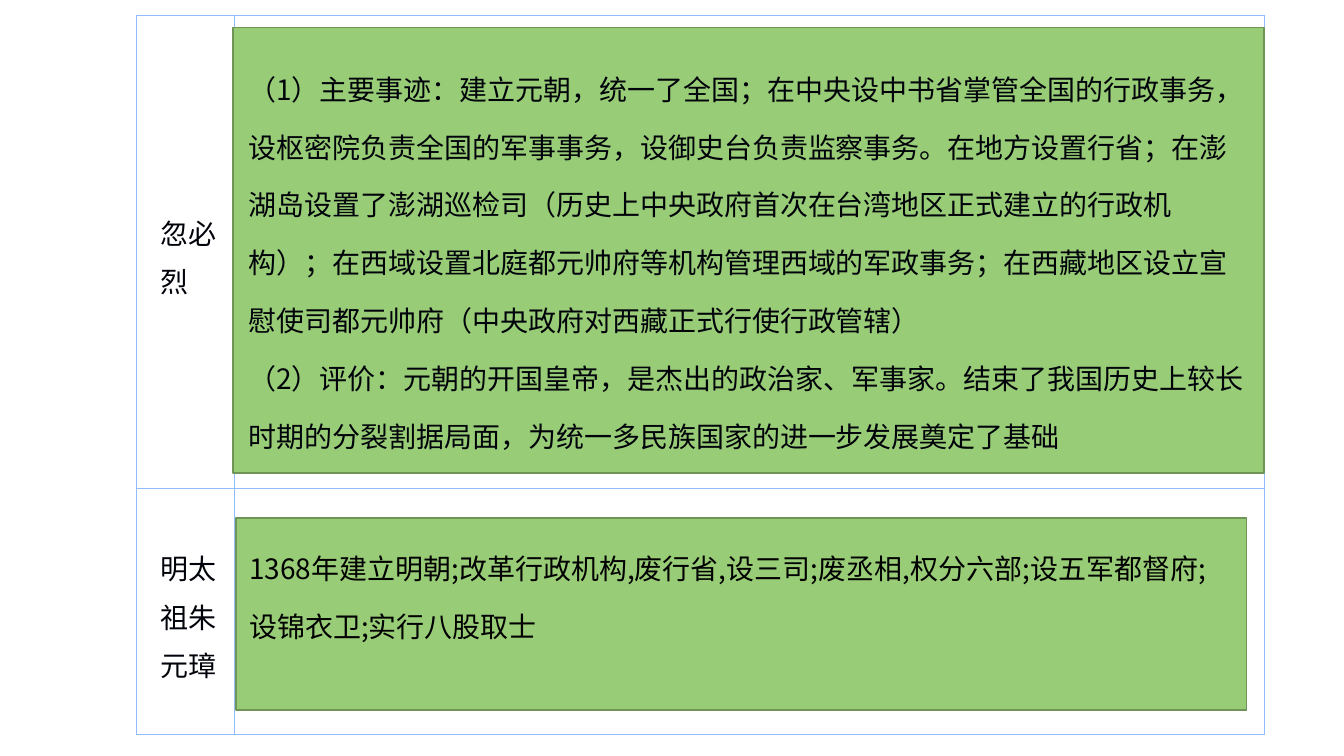
from lxml import etree
from pptx import Presentation
from pptx.dml.color import RGBColor
from pptx.enum import shapes, text
from pptx.oxml.ns import qn
from pptx.util import Cm, Pt

COLORS = {"border": "92BDFC", "box": "98CC77", "box_line": "6E9556",
          "ink": "00030A", "black": "000000"}
FONT = "Noto Sans CJK SC"
PLAIN_TABLE_STYLE = "{2D5ABB26-0587-4C30-8999-92F81FD0307C}"

EMPERORS = ["忽必烈", "明太祖朱元璋"]
COLUMN_WIDTHS = [1.85, 19.47]
ROW_HEIGHTS = [8.95, 4.65]

# Lengths in cm; a larger bottom inset lifts the centred text.
BOXES = [
    {"at": (4.41, 0.52, 19.48, 8.43), "bottom": 0.13, "indent": 0.03, "color": "ink",
     "paragraphs": [
         "（1）主要事迹：建立元朝，统一了全国；在中央设中书省掌管全国的行政事务，"
         "设枢密院负责全国的军事事务，设御史台负责监察事务。在地方设置行省；"
         "在澎湖岛设置了澎湖巡检司（历史上中央政府首次在台湾地区正式建立的行政机构）；"
         "在西域设置北庭都元帅府等机构管理西域的军政事务；"
         "在西藏地区设立宣慰使司都元帅府（中央政府对西藏正式行使行政管辖）",
         "（2）评价：元朝的开国皇帝，是杰出的政治家、军事家。"
         "结束了我国历史上较长时期的分裂割据局面，为统一多民族国家的进一步发展奠定了基础"]},
    {"at": (4.46, 9.79, 19.1, 3.63), "bottom": 1.22, "indent": 0, "color": "black",
     "paragraphs": [
         "1368年建立明朝;改革行政机构,废行省,设三司;废丞相,权分六部;"
         "设五军都督府;设锦衣卫;实行八股取士"]},
]


def rgb(name):
    return RGBColor.from_string(COLORS[name])


def write(paragraph, words, color, spacing, indent):
    paragraph.text = words
    paragraph.alignment = text.PP_ALIGN.LEFT
    paragraph.line_spacing = spacing
    properties = paragraph._p.get_or_add_pPr()
    properties.set("marL", str(Cm(indent)))
    properties.set("hangingPunct", "0")
    font = paragraph.font
    font.name, font.size = FONT, Pt(15)
    font.color.rgb = rgb(color)
    # Chinese characters take the East Asian typeface
    etree.SubElement(font._element, qn("a:ea"), typeface=FONT)


def add_borders(cell):
    properties = cell._tc.get_or_add_tcPr()
    for position, side in enumerate(("lnL", "lnR", "lnT", "lnB")):
        line = etree.Element(qn(f"a:{side}"), w=str(Pt(0.45)))
        fill = etree.SubElement(line, qn("a:solidFill"))
        etree.SubElement(fill, qn("a:srgbClr"), val=COLORS["border"])
        properties.insert(position, line)


def add_emperor_table(slide):
    frame = slide.shapes.add_table(len(ROW_HEIGHTS), len(COLUMN_WIDTHS), Cm(2.58), Cm(0.29),
                                   Cm(sum(COLUMN_WIDTHS)), Cm(sum(ROW_HEIGHTS)))
    table = frame.table
    table.first_row = table.horz_banding = False
    table._tbl.tblPr.find(qn("a:tableStyleId")).text = PLAIN_TABLE_STYLE
    for column, width in zip(table.columns, COLUMN_WIDTHS):
        column.width = Cm(width)
    for row, height, emperor in zip(table.rows, ROW_HEIGHTS, EMPERORS):
        row.height = Cm(height)
        for cell in row.cells:
            cell.fill.background()
            add_borders(cell)
        name = row.cells[0]
        name.vertical_anchor = text.MSO_ANCHOR.MIDDLE
        name.margin_left = name.margin_right = Cm(0.13)
        name.margin_top = name.margin_bottom = Cm(0.13)
        write(name.text_frame.paragraphs[0], emperor, "ink", 1.2, 0.33)


def add_box(slide, box):
    shape = slide.shapes.add_shape(shapes.MSO_SHAPE.RECTANGLE, *map(Cm, box["at"]))
    shape.shadow.inherit = False
    shape.fill.solid()
    shape.fill.fore_color.rgb = rgb("box")
    shape.line.color.rgb = rgb("box_line")
    shape.line.width = Pt(1)
    frame = shape.text_frame
    frame.word_wrap = True
    frame.vertical_anchor = text.MSO_ANCHOR.MIDDLE
    frame.margin_left = frame.margin_right = Cm(0.25)
    frame.margin_top, frame.margin_bottom = Cm(0.13), Cm(box["bottom"])
    for index, words in enumerate(box["paragraphs"]):
        paragraph = frame.add_paragraph() if index else frame.paragraphs[0]
        write(paragraph, words, box["color"], Pt(31), box["indent"])


def main():
    presentation = Presentation()
    presentation.slide_width, presentation.slide_height = Cm(25.4), Cm(14.29)
    slide = presentation.slides.add_slide(presentation.slide_layouts[6])
    add_emperor_table(slide)
    for box in BOXES:
        add_box(slide, box)
    presentation.save("out.pptx")


if __name__ == "__main__":
    main()
